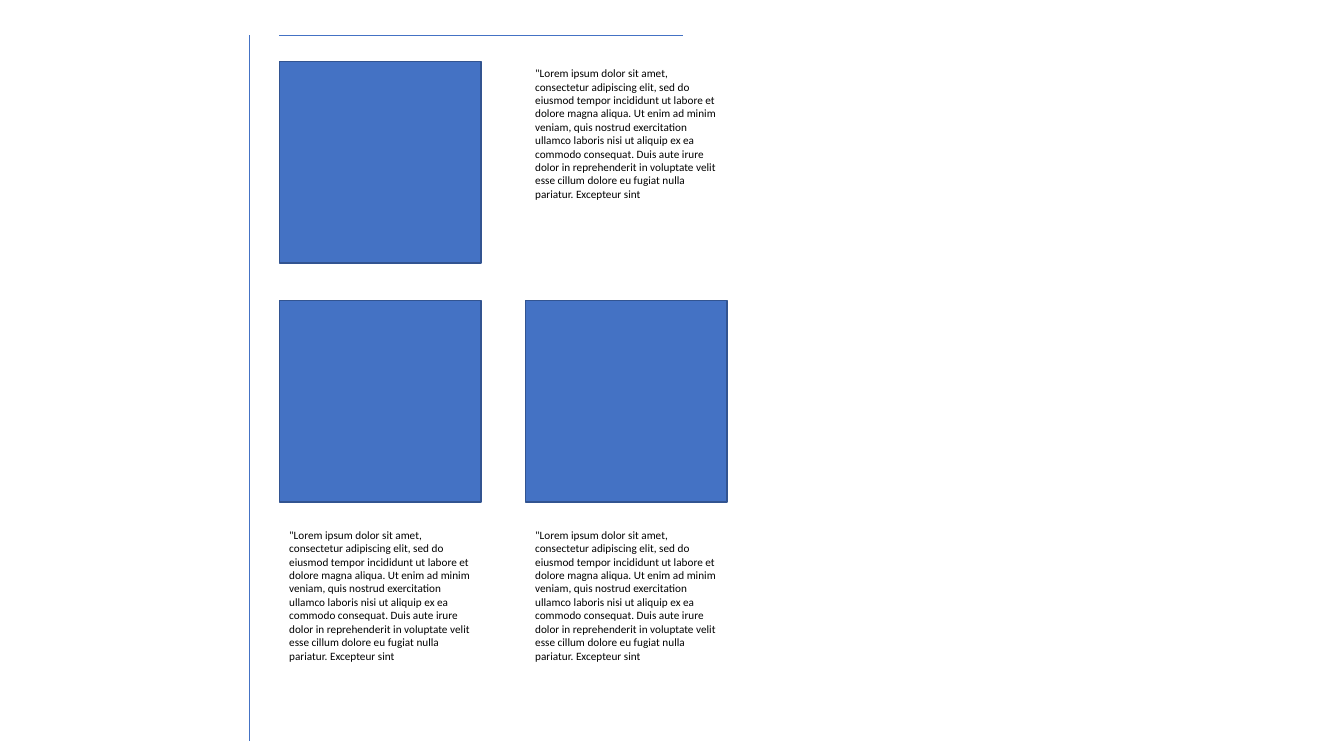
from dataclasses import dataclass

from lxml.etree import SubElement
from pptx import Presentation
from pptx.dml.color import RGBColor
from pptx.enum.shapes import MSO_CONNECTOR, MSO_SHAPE
from pptx.enum.text import MSO_AUTO_SIZE
from pptx.oxml.ns import qn
from pptx.slide import Slide
from pptx.util import Emu, Pt

EMU_PER_PX = 9144


@dataclass(frozen=True)
class Theme:
    font: str = "Calibri"
    body_size: float = 8
    ink: RGBColor = RGBColor(0x00, 0x00, 0x00)
    accent: RGBColor = RGBColor(0x44, 0x72, 0xC4)
    tile_border: RGBColor = RGBColor(0x32, 0x54, 0x91)
    tile_border_width: float = 1
    rule_width: float = 0.5


@dataclass(frozen=True)
class Tile:
    left: int
    top: int


@dataclass(frozen=True)
class Caption:
    left: int
    top: int
    height: int


@dataclass(frozen=True)
class Rule:
    x1: int
    y1: int
    x2: int
    y2: int


THEME = Theme()
SIDE = 200
COLUMNS = (277, 521)
TOP_ROW, TILE_ROW, CAPTION_ROW = 61, 298, 519
RULE_TOP = 35
MARGIN_X = 247

LOREM = (
    '"Lorem ipsum dolor sit amet, consectetur adipiscing elit, sed do '
    "eiusmod tempor incididunt ut labore et dolore magna aliqua. Ut enim ad "
    "minim veniam, quis nostrud exercitation ullamco laboris nisi ut aliquip "
    "ex ea commodo consequat. Duis aute irure dolor in reprehenderit in "
    "voluptate velit esse cillum dolore eu fugiat nulla pariatur. Excepteur sint"
)

TILES = [Tile(COLUMNS[0], TOP_ROW), *(Tile(left, TILE_ROW) for left in COLUMNS)]
CAPTIONS = [
    Caption(COLUMNS[1], TOP_ROW, 185),
    *(Caption(left, CAPTION_ROW, 145) for left in COLUMNS),
]
RULES = [
    Rule(COLUMNS[0], RULE_TOP, COLUMNS[0] + 2 * SIDE, RULE_TOP),
    Rule(MARGIN_X, RULE_TOP, MARGIN_X, RULE_TOP + 700),
]


def px(value: int) -> Emu:
    return Emu(value * EMU_PER_PX)


def draw_tile(slide: Slide, tile: Tile) -> None:
    square = slide.shapes.add_shape(
        MSO_SHAPE.RECTANGLE, px(tile.left), px(tile.top), px(SIDE), px(SIDE)
    )
    square.shadow.inherit = False
    square.fill.solid()
    square.fill.fore_color.rgb = THEME.accent
    square.line.color.rgb = THEME.tile_border
    square.line.width = Pt(THEME.tile_border_width)


def draw_caption(slide: Slide, caption: Caption) -> None:
    frame = slide.shapes.add_textbox(
        px(caption.left), px(caption.top), px(SIDE), px(caption.height)
    ).text_frame
    frame.word_wrap = True
    frame.auto_size = MSO_AUTO_SIZE.SHAPE_TO_FIT_TEXT
    passage = frame.paragraphs[0].add_run()
    passage.text = LOREM
    passage.font.name = THEME.font
    passage.font.size = Pt(THEME.body_size)
    passage.font.color.rgb = THEME.ink


def draw_rule(slide: Slide, rule: Rule) -> None:
    connector = slide.shapes.add_connector(
        MSO_CONNECTOR.STRAIGHT, px(rule.x1), px(rule.y1), px(rule.x2), px(rule.y2)
    )
    connector.line.color.rgb = THEME.accent
    connector.line.width = Pt(THEME.rule_width)
    SubElement(connector._element.spPr, qn("a:effectLst"))


def main() -> None:
    deck = Presentation()
    deck.slide_width, deck.slide_height = px(1333), px(750)
    slide = deck.slides.add_slide(deck.slide_layouts[6])
    for tile in TILES:
        draw_tile(slide, tile)
    for rule in RULES:
        draw_rule(slide, rule)
    for caption in CAPTIONS:
        draw_caption(slide, caption)
    deck.save("out.pptx")


if __name__ == "__main__":
    main()
